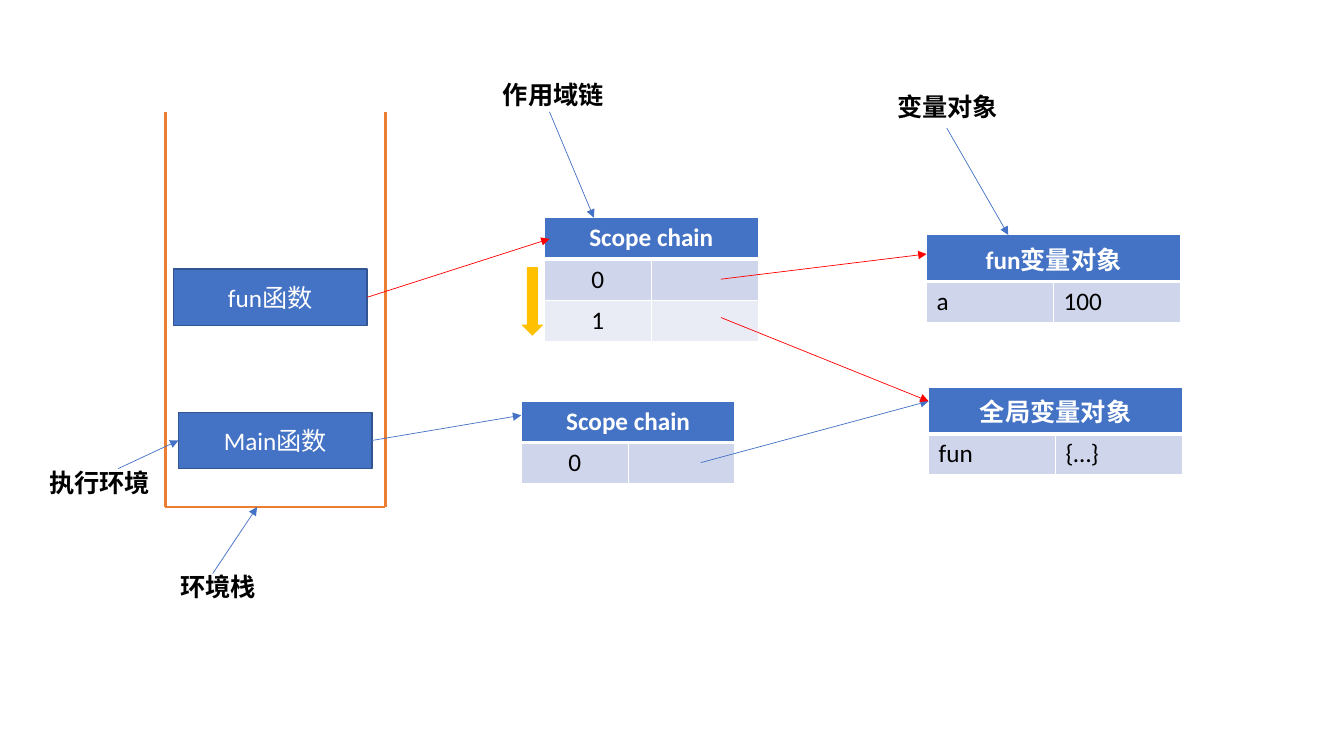
from dataclasses import dataclass
from typing import Optional

from lxml.etree import SubElement
from pptx import Presentation
from pptx.dml.color import RGBColor
from pptx.enum.shapes import MSO_CONNECTOR, MSO_SHAPE
from pptx.enum.text import MSO_ANCHOR, MSO_AUTO_SIZE, PP_ALIGN
from pptx.oxml.ns import qn
from pptx.shapes.autoshape import Shape
from pptx.shapes.connector import Connector
from pptx.util import Emu, Pt

PX = 9144  # EMU per px, 100 px to the inch


@dataclass(frozen=True)
class Theme:
    font: str = "Calibri"
    size: int = 18
    white: str = "FFFFFF"
    black: str = "000000"
    blue: str = "4472C4"
    box_edge: str = "325491"
    orange: str = "ED7D31"
    gold: str = "FFC000"
    red: str = "FF0000"
    bands: tuple[str, str] = ("CFD5EA", "E9EBF5")


THEME = Theme()


@dataclass(frozen=True)
class Box:
    text: str
    left: int
    top: int
    width: int
    height: int


@dataclass(frozen=True)
class Grid:
    title: str
    left: int
    top: int
    column_width: int
    rows: tuple[tuple[str, str], ...]
    align: PP_ALIGN


@dataclass(frozen=True)
class Arrow:
    start: tuple[int, int]
    end: tuple[int, int]
    color: str = THEME.blue
    from_box: Optional[str] = None
    to_box: Optional[str] = None


ROW_HEIGHT = 41
FUNCTION_BOXES = (
    Box("Main函数", 177, 409, 192, 56),
    Box("fun函数", 172, 267, 192, 56),
)
GRIDS = (
    Grid("Scope chain", 517, 398, 106, (("0", ""),), PP_ALIGN.CENTER),
    Grid("全局变量对象", 921, 384, 126, (("fun", "{…}"),), PP_ALIGN.LEFT),
    Grid("Scope chain", 540, 216, 106, (("0", ""), ("1", "")), PP_ALIGN.CENTER),
    Grid("fun变量对象", 919, 233, 126, (("a", "100"),), PP_ALIGN.LEFT),
)
STACK_CORNERS = ((164, 111), (164, 503), (382, 503), (382, 111))
ARROWS = (
    Arrow((369, 437), (517, 412), from_box="Main函数"),
    Arrow((695, 459), (921, 398)),
    Arrow((364, 295), (545, 237), THEME.red, from_box="fun函数"),
    Arrow((715, 315), (921, 398), THEME.red),
    Arrow((715, 277), (919, 252), THEME.red),
    Arrow((211, 569), (255, 503)),
    Arrow((117, 465), (177, 437), to_box="Main函数"),
    Arrow((545, 111), (589, 216)),
    Arrow((939, 127), (1000, 233)),
)
LABELS = (
    Box("环境栈", 169, 562, 113, 40),
    Box("执行环境", 39, 459, 139, 40),
    Box("作用域链", 489, 74, 156, 40),
    Box("变量对象", 880, 86, 156, 40),
)


def px(*lengths: int) -> list[Emu]:
    return [Emu(length * PX) for length in lengths]


def write(frame, text: str, color: str, align: PP_ALIGN, bold: bool = False) -> None:
    paragraph = frame.paragraphs[0]
    paragraph.text = text
    paragraph.alignment = align
    font = paragraph.font
    font.name, font.size, font.bold = THEME.font, Pt(THEME.size), bold
    font.color.rgb = RGBColor.from_string(color)


def add_filled(shapes, kind: MSO_SHAPE, box: Box, fill: str, edge: Optional[str] = None) -> Shape:
    shape = shapes.add_shape(kind, *px(box.left, box.top, box.width, box.height))
    shape.shadow.inherit = False
    shape.fill.solid()
    shape.fill.fore_color.rgb = RGBColor.from_string(fill)
    if edge:
        shape.line.color.rgb = RGBColor.from_string(edge)
        shape.line.width = Pt(1)
    else:
        shape.line.fill.background()
    return shape


def add_function_box(shapes, box: Box) -> Shape:
    shape = add_filled(shapes, MSO_SHAPE.RECTANGLE, box, THEME.blue, THEME.box_edge)
    shape.text_frame.vertical_anchor = MSO_ANCHOR.MIDDLE
    write(shape.text_frame, box.text, THEME.white, PP_ALIGN.CENTER)
    return shape


def add_label(shapes, box: Box) -> None:
    frame = shapes.add_textbox(*px(box.left, box.top, box.width, box.height)).text_frame
    frame.word_wrap = True
    frame.auto_size = MSO_AUTO_SIZE.SHAPE_TO_FIT_TEXT
    write(frame, box.text, THEME.black, PP_ALIGN.LEFT, bold=True)


def style_cell(cell, fill: str, top: int, bottom: int) -> None:
    properties = cell._tc.get_or_add_tcPr()
    for side, width in (("L", 1), ("R", 1), ("T", top), ("B", bottom)):
        border = SubElement(properties, qn(f"a:ln{side}"), w=str(Pt(width)))
        SubElement(SubElement(border, qn("a:solidFill")), qn("a:srgbClr"), val=THEME.white)
    cell.fill.solid()
    cell.fill.fore_color.rgb = RGBColor.from_string(fill)


def add_grid(shapes, grid: Grid) -> None:
    row_count = len(grid.rows) + 1
    area = px(grid.left, grid.top, 2 * grid.column_width, row_count * ROW_HEIGHT)
    table = shapes.add_table(row_count, 2, *area).table
    table.cell(0, 0).merge(table.cell(0, 1))
    for column in range(2):
        style_cell(table.cell(0, column), THEME.blue, top=1, bottom=3)
    write(table.cell(0, 0).text_frame, grid.title, THEME.white, PP_ALIGN.CENTER, bold=True)
    for row, values in enumerate(grid.rows, start=1):
        for column, value in enumerate(values):
            cell = table.cell(row, column)
            style_cell(cell, THEME.bands[(row - 1) % 2], top=3 if row == 1 else 1, bottom=1)
            write(cell.text_frame, value, THEME.black, grid.align)


def add_line(shapes, start: tuple[int, int], end: tuple[int, int], color: str, width: float) -> Connector:
    line = shapes.add_connector(MSO_CONNECTOR.STRAIGHT, *px(*start, *end))
    line.line.color.rgb = RGBColor.from_string(color)
    line.line.width = Pt(width)
    SubElement(line._element.spPr, qn("a:effectLst"))
    return line


def add_arrow(shapes, arrow: Arrow, boxes: dict[str, Shape]) -> None:
    line = add_line(shapes, arrow.start, arrow.end, arrow.color, 0.5)
    SubElement(line.line._get_or_add_ln(), qn("a:tailEnd"), type="triangle")
    if arrow.from_box:
        line.begin_connect(boxes[arrow.from_box], 3)
    if arrow.to_box:
        line.end_connect(boxes[arrow.to_box], 1)


def main() -> None:
    presentation = Presentation()
    presentation.slide_width, presentation.slide_height = px(1333, 750)
    slide = presentation.slides.add_slide(presentation.slide_layouts[6])
    shapes = slide.shapes

    # Execution stack, open at the top
    stack = shapes.add_group_shape()
    for start, end in zip(STACK_CORNERS, STACK_CORNERS[1:]):
        add_line(stack.shapes, start, end, THEME.orange, 2)
    boxes = {box.text: add_function_box(shapes, box) for box in FUNCTION_BOXES}

    # Scope chains and variable objects
    for grid in GRIDS:
        add_grid(shapes, grid)
    add_filled(shapes, MSO_SHAPE.DOWN_ARROW, Box("", 517, 265, 22, 68), THEME.gold)

    # References and captions
    for arrow in ARROWS:
        add_arrow(shapes, arrow, boxes)
    for label in LABELS:
        add_label(shapes, label)

    presentation.save("out.pptx")


if __name__ == "__main__":
    main()
